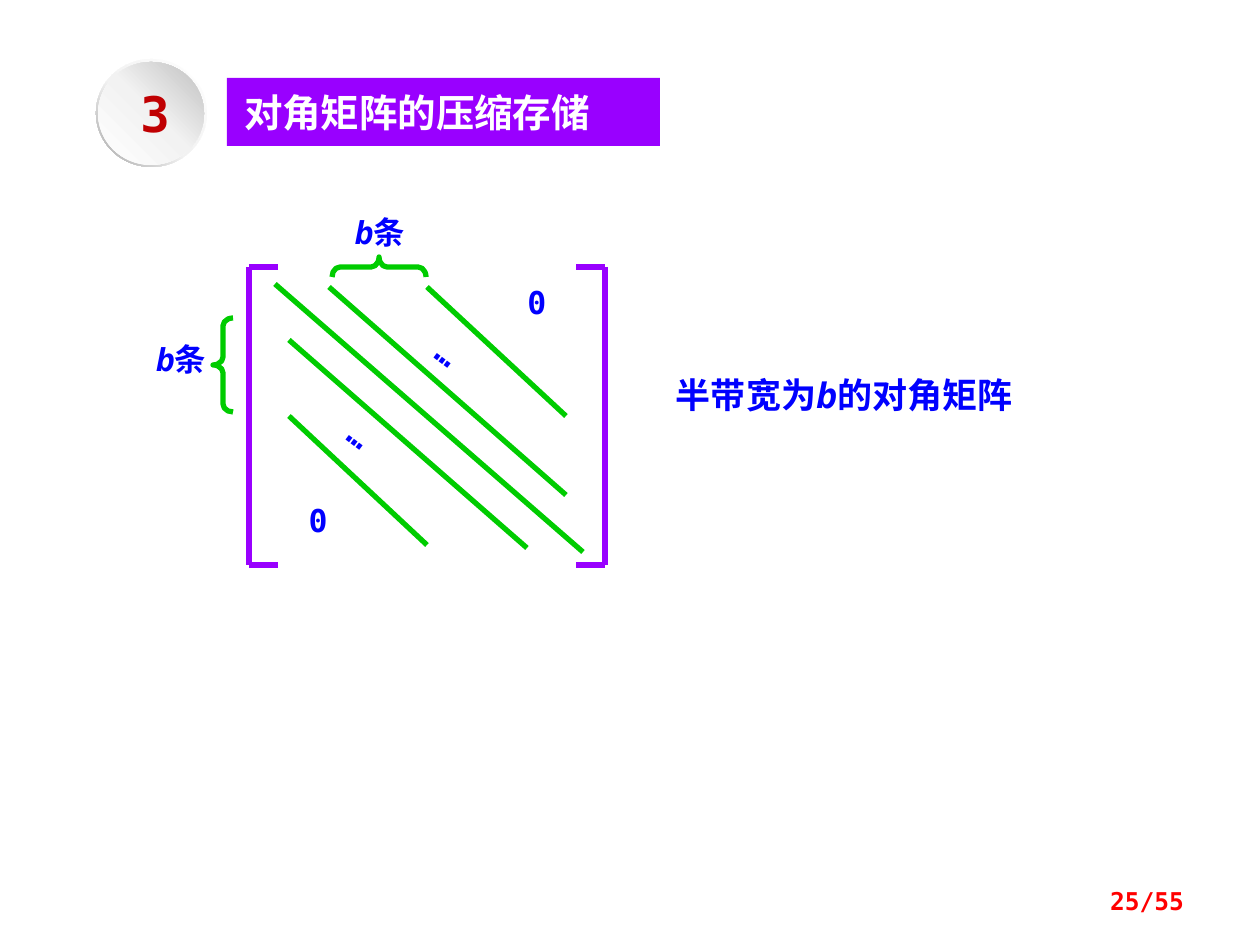
from lxml import etree
from pptx import Presentation
from pptx.dml.color import RGBColor
from pptx.enum.shapes import MSO_CONNECTOR, MSO_SHAPE
from pptx.enum.text import MSO_ANCHOR, MSO_AUTO_SIZE, PP_ALIGN
from pptx.oxml.ns import qn
from pptx.util import Pt

LINE = MSO_CONNECTOR.STRAIGHT
BRACE = MSO_SHAPE.LEFT_BRACE
DONUT = MSO_SHAPE.DONUT
OVAL = MSO_SHAPE.OVAL
TOP, MID = MSO_ANCHOR.TOP, MSO_ANCHOR.MIDDLE
FIXED = MSO_AUTO_SIZE.NONE
LEFT, MIDST, RIGHT = PP_ALIGN.LEFT, PP_ALIGN.CENTER, PP_ALIGN.RIGHT
SCALE = 914400 / 126
MONO, HAN = "DejaVu Sans Mono", "Noto Sans CJK SC"
COLORS = {
    "purple": "9900FF", "green": "00CC00", "blue": "0000FF",
    "red": "FF0000", "dark": "C00002", "white": "FFFFFF",
    "pale": "F2F2F2", "gray": "A6A6A6", "silver": "BFBFBF",
}


def px(num):
    return round(num * SCALE)


def span(*nums):
    return [px(num) for num in nums]


def color(name):
    return RGBColor.from_string(COLORS[name])


def write(shape, runs, size, tint, align=MIDST, anchor=TOP, pads=(13, 6, 13, 6), font=MONO):
    frame = shape.text_frame
    frame.word_wrap = True
    frame.auto_size = FIXED
    frame.vertical_anchor = anchor
    (frame.margin_left, frame.margin_top,
     frame.margin_right, frame.margin_bottom) = span(*pads)
    para = frame.paragraphs[0]
    para.alignment = align
    for text, slant in runs:
        run = para.add_run()
        run.text = text
        face = run.font
        face.name, face.size, face.bold, face.italic = font, Pt(size), True, slant
        face.color.rgb = color(tint)
        etree.SubElement(run._r.get_or_add_rPr(), qn("a:ea"), typeface=HAN)


def add_text(shapes, box, runs, size, tint, turn=0, **style):
    shape = shapes.add_textbox(*span(*box))
    shape.rotation = turn
    write(shape, runs, size, tint, **style)


def add_line(shapes, ends, tint):
    line = shapes.add_connector(LINE, *span(*ends))
    line.line.color.rgb = color(tint)
    line.line.width = Pt(3)
    etree.SubElement(line._element.spPr, qn("a:effectLst"))


def add_brace(shapes, box, turn=0):
    brace = shapes.add_shape(BRACE, *span(*box))
    brace.shadow.inherit = False
    brace.adjustments[0] = 0.395
    brace.rotation = turn
    brace.fill.background()
    brace.line.color.rgb = color("green")
    brace.line.width = Pt(3)


def add_disc(shapes, kind, box, stops, angle):
    disc = shapes.add_shape(kind, *span(*box))
    disc.shadow.inherit = False
    disc.line.fill.background()
    disc.fill.gradient()
    grad = disc._element.spPr.find(qn("a:gradFill"))
    for child in list(grad):
        grad.remove(child)
    items = etree.SubElement(grad, qn("a:gsLst"))
    for place, tint in stops:
        stop = etree.SubElement(items, qn("a:gs"), pos=str(place * 1000))
        etree.SubElement(stop, qn("a:srgbClr"), val=COLORS[tint])
    etree.SubElement(grad, qn("a:lin"), ang=str(angle * 60000), scaled="0")
    return disc


def add_title(slide):
    title = slide.shapes.title
    title.left, title.top, title.width, title.height = span(227, 78, 433, 68)
    title.fill.solid()
    title.fill.fore_color.rgb = color("purple")
    write(title, [("对角矩阵的压缩存储", False)], 22, "white",
          align=LEFT, anchor=MID, pads=(17, 10, 13, 10), font=HAN)


def add_matrix(shapes):
    top, base = 267, 565
    for side, tip in ((249, 278), (605, 576)):
        add_line(shapes, (side, top, side, base), "purple")
        for edge in (top, base):
            add_line(shapes, (side, edge, tip, edge), "purple")
    for ends in ((275, 284, 583, 552), (329, 287, 566, 495), (427, 287, 566, 416),
                 (289, 340, 527, 548), (289, 416, 427, 545)):
        add_line(shapes, ends, "green")
    add_brace(shapes, (213, 318, 20, 94))
    add_brace(shapes, (369, 220, 20, 94), 90)
    band = [("b", True), ("条", False)]
    zero = [("0", False)]
    dots = [("…", False)]
    for left, top, runs, turn in ((131, 334, band, 0), (330, 207, band, 0),
                                  (268, 495, zero, 0), (487, 277, zero, 0),
                                  (310, 410, dots, 36.9), (398, 328, dots, 36.9)):
        add_text(shapes, (left, top, 100, 50), runs, 18, "blue", turn)


def add_badge(shapes):
    add_disc(shapes, DONUT, (96, 59, 111, 108),
             ((0, "white"), (55, "pale"), (100, "gray")), 135).adjustments[0] = 0.049
    add_disc(shapes, OVAL, (98, 62, 106, 103),
             ((0, "white"), (51, "pale"), (100, "silver")), 315)
    add_text(shapes, (126, 84, 58, 59), [("3", False)], 28, "dark", pads=(0, 0, 0, 0))


def main():
    deck = Presentation()
    deck.slide_width, deck.slide_height = span(1260, 945)
    slide = deck.slides.add_slide(deck.slide_layouts[5])
    shapes = slide.shapes
    add_title(slide)
    add_text(shapes, (655, 367, 466, 55),
             [("半带宽为", False), ("b", True), ("的对角矩阵", False)],
             20, "blue", align=LEFT, pads=(21, 6, 13, 6))
    add_matrix(shapes.add_group_shape().shapes)
    add_badge(shapes.add_group_shape().shapes)
    add_text(shapes, (903, 876, 294, 50), [("25/55", False)], 14, "red",
             align=RIGHT, anchor=MID)
    deck.save("out.pptx")


if __name__ == "__main__":
    main()
